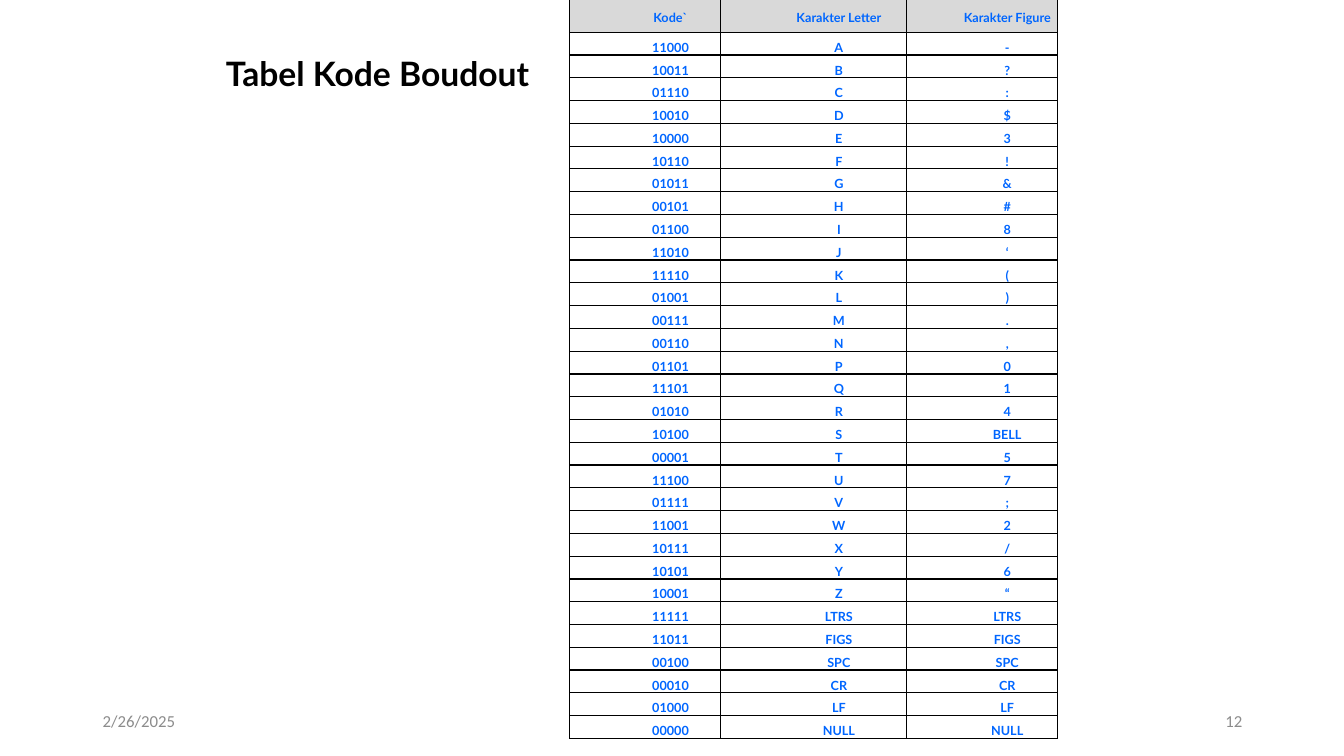
from lxml import etree
from pptx import Presentation
from pptx import util as u
from pptx.dml.color import RGBColor
from pptx.enum import text as t
from pptx.oxml.ns import qn

PX = 9144  # EMU per px, 100 px to the inch
COLORS = {"text": "000000", "code": "0066FF", "header": "D9D9D9",
          "border": "000000", "footer": "8C8C8C"}
COLUMN_WIDTHS = (150, 184, 150)
HEADER_HEIGHT, ROW_HEIGHT = 36, 22
HEADINGS = ("Kode`", "Karakter Letter", "Karakter Figure")
CODES = """
11000 A -
10011 B ?
01110 C :
10010 D $
10000 E 3
10110 F !
01011 G &
00101 H #
01100 I 8
11010 J ‘
11110 K (
01001 L )
00111 M .
00110 N ,
01101 P 0
11101 Q 1
01010 R 4
10100 S BELL
00001 T 5
11100 U 7
01111 V ;
11001 W 2
10111 X /
10101 Y 6
10001 Z “
11111 LTRS LTRS
11011 FIGS FIGS
00100 SPC SPC
00010 CR CR
01000 LF LF
00000 NULL NULL
"""


def px(length):
    return u.Emu(length * PX)


def write_text(frame, content, *, size, color, font="Lato", bold=False,
               align=t.PP_ALIGN.LEFT, spacing=None):
    paragraph = frame.paragraphs[0]
    paragraph.alignment = align
    paragraph.line_spacing = spacing
    run = paragraph.add_run()
    run.text = content
    run.font.name = font
    run.font.size = u.Pt(size)
    run.font.bold = bold
    run.font.color.rgb = RGBColor.from_string(COLORS[color])
    return paragraph


def add_title(slide, content, left, top, width, height):
    title = slide.shapes.title
    title.left, title.top, title.width, title.height = map(px, (left, top, width, height))
    frame = title.text_frame
    frame.word_wrap = True
    frame.auto_size = t.MSO_AUTO_SIZE.SHAPE_TO_FIT_TEXT
    frame.vertical_anchor = t.MSO_ANCHOR.TOP
    write_text(frame, content, size=24, color="text", bold=True)


def add_footer(slide, content, left, align):
    box = slide.shapes.add_textbox(px(left), px(695), px(300), px(40))
    box.text_frame.word_wrap = True
    box.text_frame.vertical_anchor = t.MSO_ANCHOR.MIDDLE
    write_text(box.text_frame, content, size=12, color="footer", font="Calibri", align=align)


def add_borders(cell):
    """Draw a 1 pt line on each side; borders must precede the cell fill."""
    properties = cell._tc.get_or_add_tcPr()
    for position, side in enumerate(("lnL", "lnR", "lnT", "lnB")):
        line = etree.Element(qn(f"a:{side}"), w=str(u.Pt(1)))
        fill = etree.SubElement(line, qn("a:solidFill"))
        etree.SubElement(fill, qn("a:srgbClr"), val=COLORS["border"])
        properties.insert(position, line)


def format_cell(cell, content, is_header):
    cell.margin_left = cell.margin_right = px(5)
    cell.margin_top = cell.margin_bottom = 0
    cell.vertical_anchor = t.MSO_ANCHOR.MIDDLE
    if is_header:
        cell.fill.solid()
        cell.fill.fore_color.rgb = RGBColor.from_string(COLORS["header"])
    else:
        cell.fill.background()
    paragraph = write_text(cell.text_frame, content, size=9, color="code", bold=True,
                           align=t.PP_ALIGN.CENTER, spacing=1.5)
    indent = paragraph._p.get_or_add_pPr()
    indent.set("marL", str(px(50)))
    indent.set("indent", "0")
    add_borders(cell)


def add_code_table(slide, left, top):
    rows = [HEADINGS] + [line.split() for line in CODES.strip().splitlines()]
    height = HEADER_HEIGHT + ROW_HEIGHT * (len(rows) - 1)
    table = slide.shapes.add_table(len(rows), len(HEADINGS), px(left), px(top),
                                   px(sum(COLUMN_WIDTHS)), px(height)).table
    table.first_row = table.horz_banding = False
    for column, width in zip(table.columns, COLUMN_WIDTHS):
        column.width = px(width)
    for index, values in enumerate(rows):
        table.rows[index].height = px(ROW_HEIGHT if index else HEADER_HEIGHT)
        for cell, value in zip(table.rows[index].cells, values):
            format_cell(cell, value, is_header=index == 0)


def main():
    presentation = Presentation()
    presentation.slide_width, presentation.slide_height = px(1333), px(750)
    slide = presentation.slides.add_slide(presentation.slide_layouts[5])
    add_code_table(slide, 565, -4)
    add_title(slide, "Tabel Kode Boudout", 214, 47, 422, 50)
    add_footer(slide, "2/26/2025", 92, t.PP_ALIGN.LEFT)
    add_footer(slide, "12", 942, t.PP_ALIGN.RIGHT)
    presentation.save("out.pptx")


if __name__ == "__main__":
    main()
